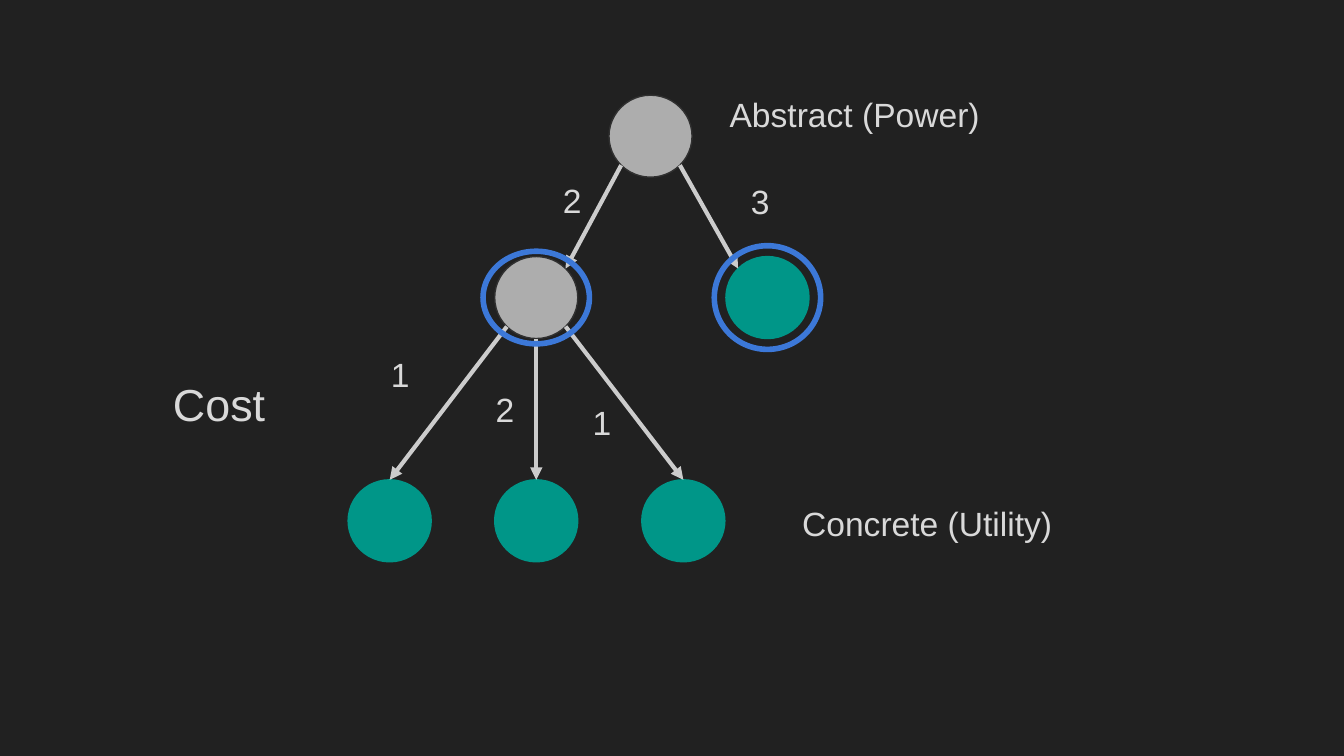
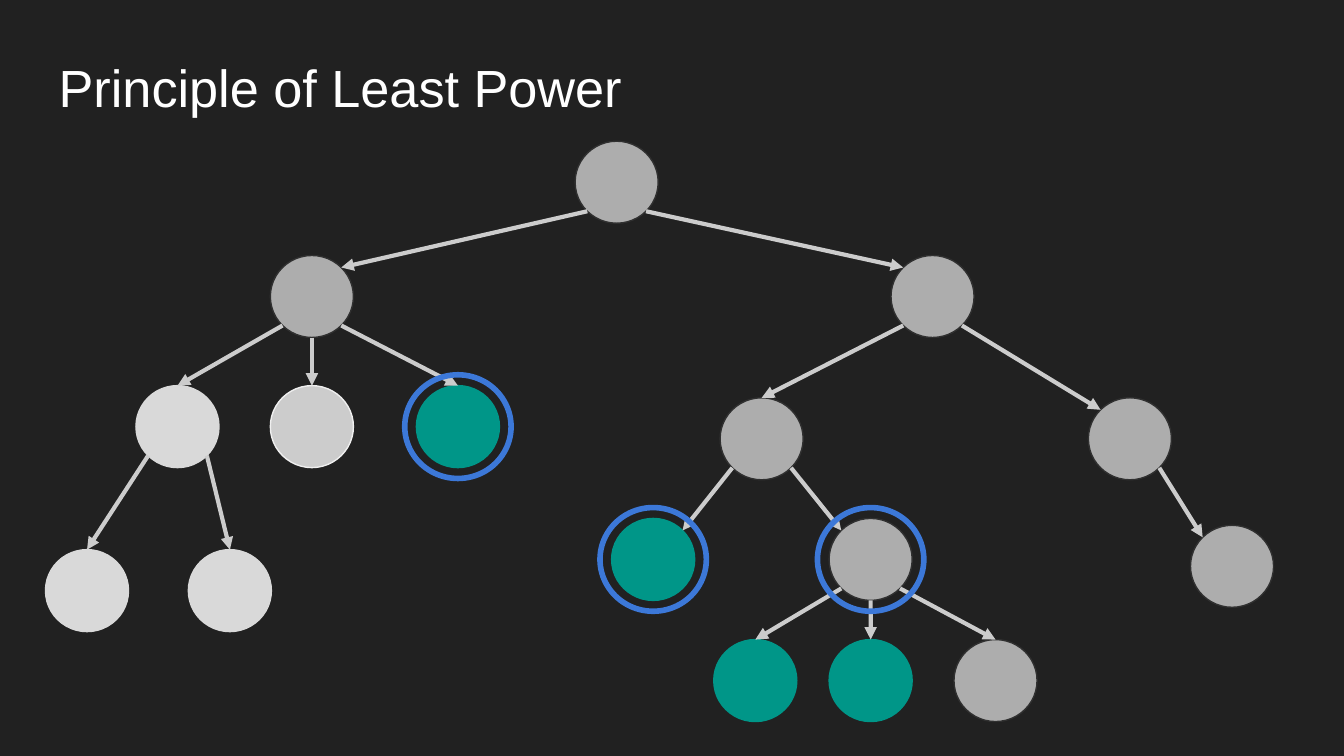
import math
from dataclasses import dataclass

import pptx
import pptx.dml.color
import pptx.enum.shapes
import pptx.enum.text
import pptx.oxml
import pptx.oxml.ns
import pptx.util
from pptx.util import Cm

# Shared look
COLORS = {
    "background": "212121",
    "title": "FFFFFF",
    "label": "D9D9D9",
    "arrow": "CCCCCC",
    "ring": "3C78D8",
}
# Fill and outline of each kind of node
NODE_STYLES = {
    "abstract": ("ADADAD", "303030"),
    "concrete": ("009688", "009688"),
    "pale": ("D9D9D9", "D9D9D9"),
    "plain": ("CCCCCC", "EFEFEF"),
}
FONT = "Arial"
NODE_WIDTH, NODE_HEIGHT = 1.57, 1.55
RING_WIDTH, RING_HEIGHT = 2.01, 1.96
INSET = 0.25
LINE_HEIGHT = 0.73
DIAGONAL = math.sqrt(0.5)
SHAPES = pptx.enum.shapes.MSO_SHAPE
TOP = pptx.enum.text.MSO_ANCHOR.TOP
MIDDLE = pptx.enum.text.MSO_ANCHOR.MIDDLE


# Lengths below are centimetres
@dataclass
class Node:
    name: str
    left: float
    top: float
    style: str = "abstract"
    parent: str = ""
    enter_top: bool = False
    ring_height: float = 0

    @property
    def center(self) -> tuple[float, float]:
        return self.left + NODE_WIDTH / 2, self.top + NODE_HEIGHT / 2

    def rim(self, side: int, down: int) -> tuple[float, float]:
        """Point on the outline: side is -1, 0 or 1, down is -1 or 1."""
        x, y = self.center
        reach = DIAGONAL if side else 1
        return (x + side * reach * NODE_WIDTH / 2,
                y + down * reach * NODE_HEIGHT / 2)


@dataclass
class Label:
    text: str
    left: float
    top: float
    width: float
    height: float
    size: int = 18
    color: str = "label"
    anchor: pptx.enum.text.MSO_ANCHOR = MIDDLE
    bottom_inset: float = INSET


def rgb(value: str) -> pptx.dml.color.RGBColor:
    return pptx.dml.color.RGBColor.from_string(value)


def add_page(deck):
    page = deck.slides.add_slide(deck.slide_layouts[6])
    page.background.fill.solid()
    page.background.fill.fore_color.rgb = rgb(COLORS["background"])
    return page


def add_node(page, node: Node):
    fill, outline = NODE_STYLES[node.style]
    circle = page.shapes.add_shape(SHAPES.OVAL, Cm(node.left), Cm(node.top),
                                   Cm(NODE_WIDTH), Cm(NODE_HEIGHT))
    circle.shadow.inherit = False
    circle.fill.solid()
    circle.fill.fore_color.rgb = rgb(fill)
    circle.line.color.rgb = rgb(outline)
    circle.line.width = pptx.util.Pt(0.75)
    return circle


def add_ring(page, node: Node) -> None:
    x, y = node.center
    ring = page.shapes.add_shape(
        SHAPES.FLOWCHART_CONNECTOR,
        Cm(x - RING_WIDTH / 2), Cm(y - node.ring_height / 2),
        Cm(RING_WIDTH), Cm(node.ring_height))
    ring.shadow.inherit = False
    ring.fill.background()
    ring.line.color.rgb = rgb(COLORS["ring"])
    ring.line.width = pptx.util.Pt(3)


def add_arrow(page, parent: Node, child: Node, child_circle) -> None:
    """Leave the parent on the child's side, enter at the top or facing rim."""
    offset = child.center[0] - parent.center[0]
    side = (offset > 0) - (offset < 0)
    start = parent.rim(side, 1)
    end = child.rim(0 if child.enter_top else -side, -1)
    arrow = page.shapes.add_connector(
        pptx.enum.shapes.MSO_CONNECTOR.STRAIGHT,
        *(Cm(value) for value in start + end))
    if child.enter_top:
        arrow.end_connect(child_circle, 0)
    arrow.line.color.rgb = rgb(COLORS["arrow"])
    arrow.line.width = pptx.util.Pt(2.25)
    line = arrow.line._get_or_add_ln()
    head = pptx.oxml.parse_xml(
        f'<a:tailEnd {pptx.oxml.ns.nsdecls("a")} type="triangle"/>')
    line.append(head)
    effects = pptx.oxml.parse_xml(
        f'<a:effectLst {pptx.oxml.ns.nsdecls("a")}/>')
    line.addnext(effects)


def add_label(page, label: Label) -> None:
    box = page.shapes.add_textbox(Cm(label.left), Cm(label.top),
                                  Cm(label.width), Cm(label.height))
    frame = box.text_frame
    frame.word_wrap = True
    frame.vertical_anchor = label.anchor
    frame.margin_left = frame.margin_right = frame.margin_top = Cm(INSET)
    frame.margin_bottom = Cm(label.bottom_inset)
    frame.text = label.text
    span = frame.paragraphs[0].runs[0]
    span.font.name = FONT
    span.font.size = pptx.util.Pt(label.size)
    span.font.color.rgb = rgb(COLORS[label.color])


def add_tree(page, nodes: list[Node]) -> None:
    by_name = {node.name: node for node in nodes}
    circles = {node.name: add_node(page, node) for node in nodes}
    for node in nodes:
        if node.parent:
            add_arrow(page, by_name[node.parent], node, circles[node.name])
    for node in nodes:
        if node.ring_height:
            add_ring(page, node)


def cost_label(text: str, left: float, top: float) -> Label:
    return Label(text, left, top, 1.04, 1.75)


# Slide 1: tree with the cost of each step
COST_TREE = [
    Node("root", 11.51, 1.8),
    Node("middle", 9.35, 4.85, parent="root", ring_height=1.75),
    Node("right", 13.72, 4.85, "concrete", "root", ring_height=RING_HEIGHT),
    Node("leaf left", 6.58, 9.07, "concrete", "middle", True),
    Node("leaf middle", 9.35, 9.07, "concrete", "middle", True),
    Node("leaf right", 12.13, 9.07, "concrete", "middle", True),
]
COST_LABELS = [
    Label("Abstract (Power)", 13.54, 1.52, 7.72, 1.22, anchor=TOP),
    Label("Concrete (Utility)", 14.91, 7.77, 7.47, 4.98,
          bottom_inset=INSET + LINE_HEIGHT),
    Label("Cost", 3.02, 5.13, 2.92, 4.98, size=24),
    cost_label("2", 10.39, 2.9),
    cost_label("3", 13.94, 2.92),
    cost_label("1", 7.14, 6.2),
    cost_label("2", 9.12, 6.86),
    cost_label("1", 10.95, 7.11),
]

# Slide 2: larger tree
POWER_TITLE = Label("Principle of Least Power", 0.86, 0.79, 23.67, 1.6,
                    size=28, color="title", anchor=TOP)
POWER_TREE = [
    Node("root", 10.87, 2.67),
    # Left branch
    Node("left", 5.11, 4.83, parent="root"),
    Node("left pale", 2.57, 7.29, "pale", "left", True),
    Node("left plain", 5.11, 7.29, "plain", "left", True),
    Node("left concrete", 7.87, 7.29, "concrete", "left", True, RING_HEIGHT),
    Node("pale leaf left", 0.86, 10.39, "pale", "left pale", True),
    Node("pale leaf right", 3.56, 10.39, "pale", "left pale", True),
    # Right branch
    Node("right", 16.84, 4.83, parent="root"),
    Node("inner", 13.61, 7.52, parent="right", enter_top=True),
    Node("outer", 20.57, 7.52, parent="right"),
    Node("outer leaf", 22.5, 9.93, parent="outer"),
    Node("inner concrete", 11.56, 9.8, "concrete", "inner",
         ring_height=RING_HEIGHT),
    Node("inner abstract", 15.67, 9.8, parent="inner",
         ring_height=RING_HEIGHT),
    Node("leaf left", 13.49, 12.09, "concrete", "inner abstract", True),
    Node("leaf middle", 15.67, 12.09, "concrete", "inner abstract", True),
    Node("leaf right", 18.03, 12.09, parent="inner abstract", enter_top=True),
]


def main() -> None:
    deck = pptx.Presentation()
    deck.slide_width, deck.slide_height = Cm(25.4), Cm(14.29)
    for labels, tree in ((COST_LABELS, COST_TREE),
                         ([POWER_TITLE], POWER_TREE)):
        page = add_page(deck)
        for label in labels:
            add_label(page, label)
        add_tree(page, tree)
    deck.save("out.pptx")


if __name__ == "__main__":
    main()
